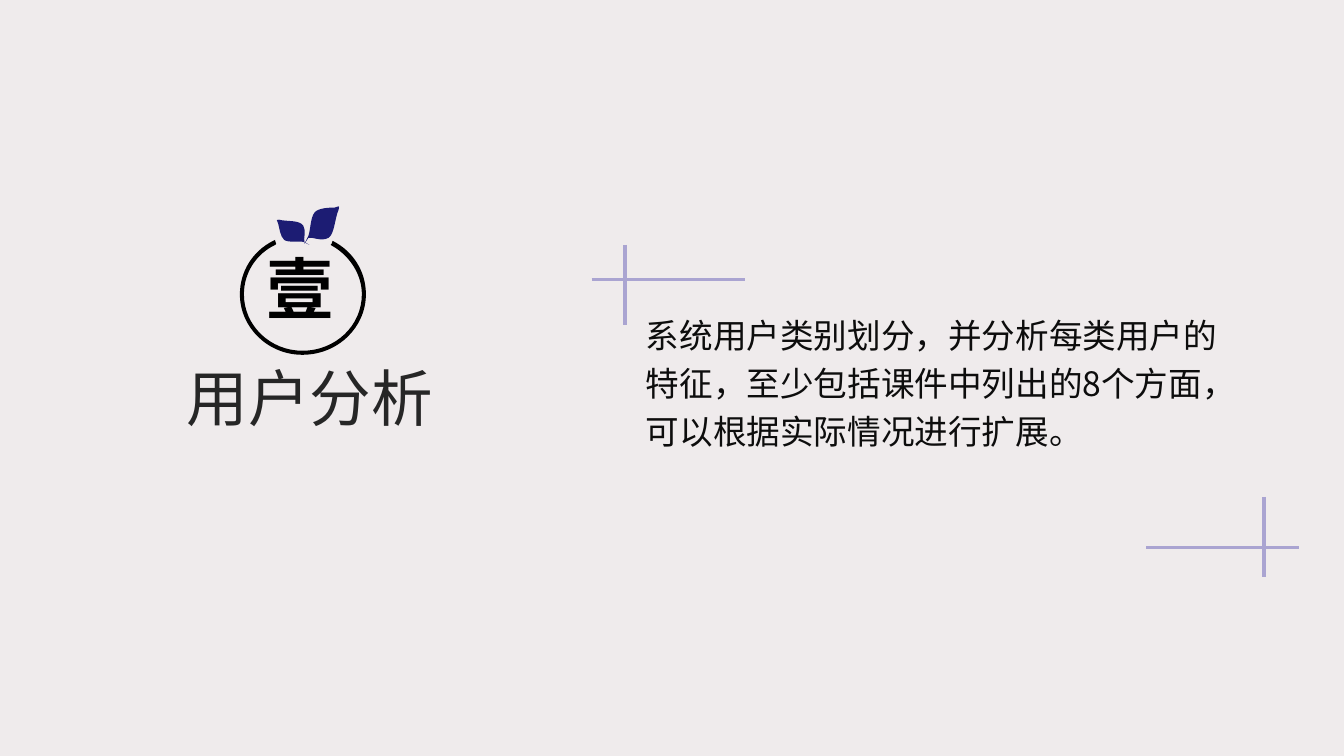
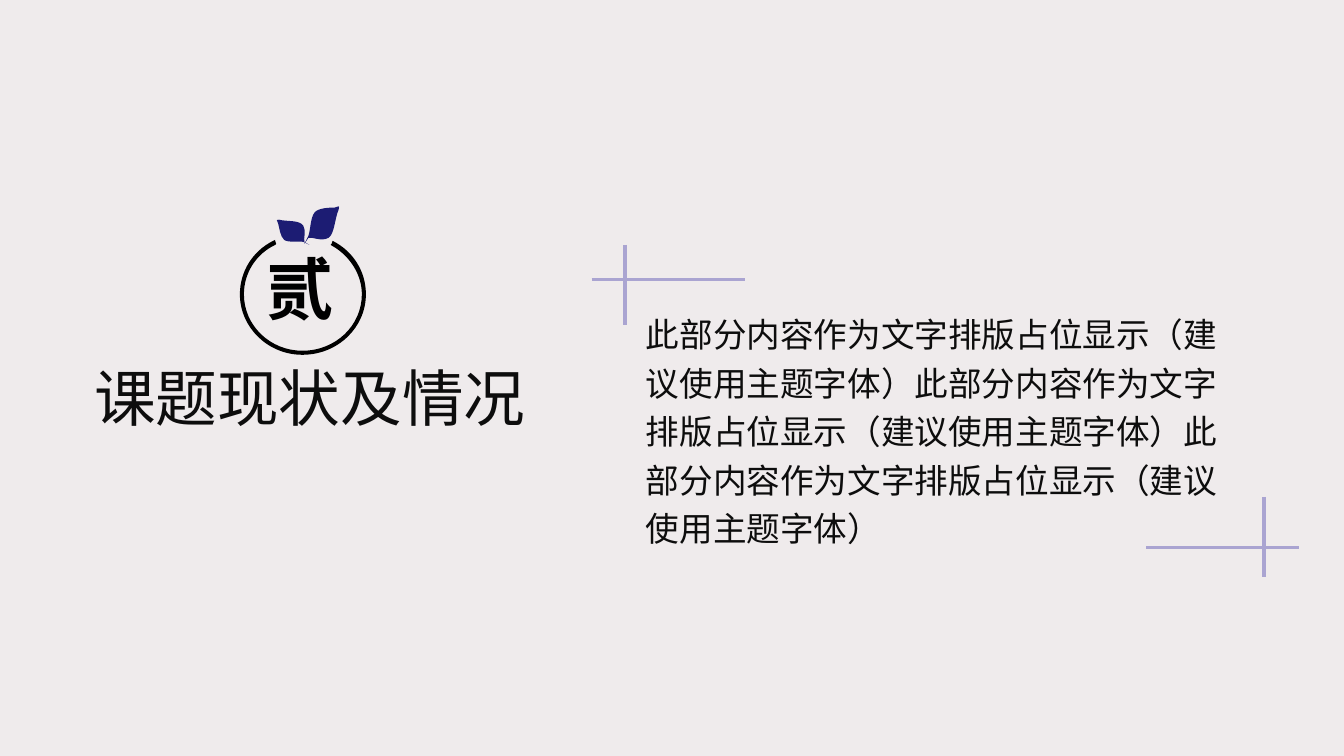
from lxml import etree
from pptx import Presentation
from pptx.dml.color import RGBColor
from pptx.enum.lang import MSO_LANGUAGE_ID
from pptx.enum.shapes import MSO_CONNECTOR
from pptx.enum.text import MSO_AUTO_SIZE, PP_ALIGN
from pptx.oxml.ns import qn
from pptx.util import Inches, Pt

STRAIGHT = MSO_CONNECTOR.STRAIGHT
CHINESE = MSO_LANGUAGE_ID.SIMPLIFIED_CHINESE
FIT_SHAPE = MSO_AUTO_SIZE.SHAPE_TO_FIT_TEXT
LEFT = PP_ALIGN.LEFT
CENTER = PP_ALIGN.CENTER

FONT = "Noto Sans CJK SC"
BACKGROUND = RGBColor(0xEF, 0xEB, 0xEC)
LAVENDER = RGBColor(0xAA, 0xA4, 0xD1)
NAVY = RGBColor(0x1C, 0x1C, 0x73)
BLACK = RGBColor(0, 0, 0)
INK = RGBColor(0x0D, 0x0D, 0x0D)
CHARCOAL = RGBColor(0x26, 0x26, 0x26)

CROSS_W, CROSS_H = 1.52, 0.79

LEFT_LEAF = [
    (3.07, 2.43), (3.01, 2.4),
    (2.97, 2.39, 2.86, 2.41, 2.82, 2.38),
    (2.78, 2.35, 2.77, 2.25, 2.76, 2.22),
    (2.75, 2.18, 2.73, 2.18, 2.77, 2.18),
    (2.85, 2.2, 2.97, 2.18, 3.01, 2.24),
    (3.04, 2.29, 3.01, 2.37, 3.02, 2.4),
    (3.07, 2.43),
]
RIGHT_LEAF = [
    (3.02, 2.42), (3.06, 2.34),
    (3.08, 2.29, 3.08, 2.16, 3.12, 2.11),
    (3.16, 2.06, 3.28, 2.06, 3.32, 2.06),
    (3.36, 2.05, 3.37, 2.03, 3.36, 2.08),
    (3.32, 2.17, 3.32, 2.32, 3.26, 2.36),
    (3.19, 2.4, 3.1, 2.35, 3.06, 2.36),
    (3.02, 2.42),
]
RING = [
    (2.73, 2.38), (2.71, 2.39),
    (2.51, 2.49, 2.38, 2.69, 2.38, 2.92),
    (2.38, 3.25, 2.66, 3.52, 3, 3.52),
    (3.35, 3.52, 3.63, 3.25, 3.63, 2.92),
    (3.63, 2.69, 3.5, 2.49, 3.3, 2.39),
    (3.29, 2.42), (3.28, 2.43), (3.33, 2.46),
    (3.48, 2.56, 3.59, 2.73, 3.59, 2.92),
    (3.59, 3.23, 3.33, 3.48, 3, 3.48),
    (2.68, 3.48, 2.42, 3.23, 2.42, 2.92),
    (2.42, 2.71, 2.54, 2.52, 2.73, 2.43),
    (2.74, 2.42),
    (2.73, 2.41, 2.73, 2.4, 2.73, 2.39),
]

PLACEHOLDER = "此部分内容作为文字排版占位显示（建议使用主题字体）"
SECTIONS = [
    ("壹", "用户分析", CHARCOAL, 1.49,
     "系统用户类别划分，并分析每类用户的特征，至少包括课件中列出的8个方面，可以根据实际情况进行扩展。"),
    ("贰", "课题现状及情况", INK, 2.94, PLACEHOLDER * 3),
]


def add_text(shapes, text, x, y, w, h, *, size, color=INK, bold=False,
             align=LEFT, spacing=1.0):
    sp = shapes.add_textbox(Inches(x), Inches(y), Inches(w), Inches(h))
    tf = sp.text_frame
    tf.word_wrap = True
    tf.auto_size = FIT_SHAPE
    p = tf.paragraphs[0]
    p.alignment = align
    p.line_spacing = spacing
    r = p.add_run()
    r.text = text
    r.font.size = Pt(size)
    r.font.bold = bold
    r.font.name = FONT
    r.font.color.rgb = color
    r.font.language_id = CHINESE
    latin = r.font._element.find(qn("a:latin"))
    latin.addnext(etree.Element(qn("a:ea"), typeface=FONT))


def add_line(shapes, x1, y1, x2, y2):
    line = shapes.add_connector(STRAIGHT, Inches(x1), Inches(y1), Inches(x2), Inches(y2))
    line.line.color.rgb = LAVENDER
    line.line.width = Pt(2.25)
    etree.SubElement(line._element.spPr, qn("a:effectLst"))


def add_cross(s, left, top, x, y):
    shapes = s.shapes.add_group_shape().shapes
    add_line(shapes, left, y, left + CROSS_W, y)
    add_line(shapes, x, top, x, top + CROSS_H)


def add_outline(shapes, segments, color):
    ends = [(Inches(seg[-2]), Inches(seg[-1])) for seg in segments]
    builder = shapes.build_freeform(*ends[0])
    builder.add_line_segments(ends[1:], close=True)
    sp = builder.convert_to_shape()
    left = min(x for x, y in ends)
    top = min(y for x, y in ends)
    lines = list(sp._element.iter(qn("a:lnTo")))
    for line, seg in zip(lines, segments[1:]):
        if len(seg) == 6:
            curve = etree.Element(qn("a:cubicBezTo"))
            for x, y in zip(seg[::2], seg[1::2]):
                etree.SubElement(curve, qn("a:pt"),
                                 x=str(Inches(x) - left), y=str(Inches(y) - top))
            line.getparent().replace(line, curve)
    sp.shadow.inherit = False
    sp.fill.solid()
    sp.fill.fore_color.rgb = color
    sp.line.fill.background()


def add_badge(s, numeral):
    shapes = s.shapes.add_group_shape().shapes
    for segments, color in ((LEFT_LEAF, NAVY), (RIGHT_LEAF, NAVY), (RING, BLACK)):
        add_outline(shapes, segments, color)
    add_text(shapes, numeral, 2.55, 2.4, 1, 0.91, size=48, color=BLACK, bold=True)


def add_section(prs, numeral, title, title_color, body_h, body):
    s = prs.slides.add_slide(prs.slide_layouts[6])
    add_text(s.shapes, title, 0.28, 3.52, 5.59, 0.84, size=44,
             color=title_color, align=CENTER)
    add_cross(s, 5.87, 2.43, 6.2, 2.77)
    add_cross(s, 11.37, 4.93, 12.54, 5.43)
    add_badge(s, numeral)
    add_text(s.shapes, body, 6.31, 2.99, 6.11, body_h, size=24, spacing=1.2)


def main():
    prs = Presentation()
    prs.slide_width = Inches(40 / 3)
    prs.slide_height = Inches(7.5)
    fill = prs.slide_master.background.fill
    fill.solid()
    fill.fore_color.rgb = BACKGROUND
    for section in SECTIONS:
        add_section(prs, *section)
    prs.save("out.pptx")


if __name__ == "__main__":
    main()
